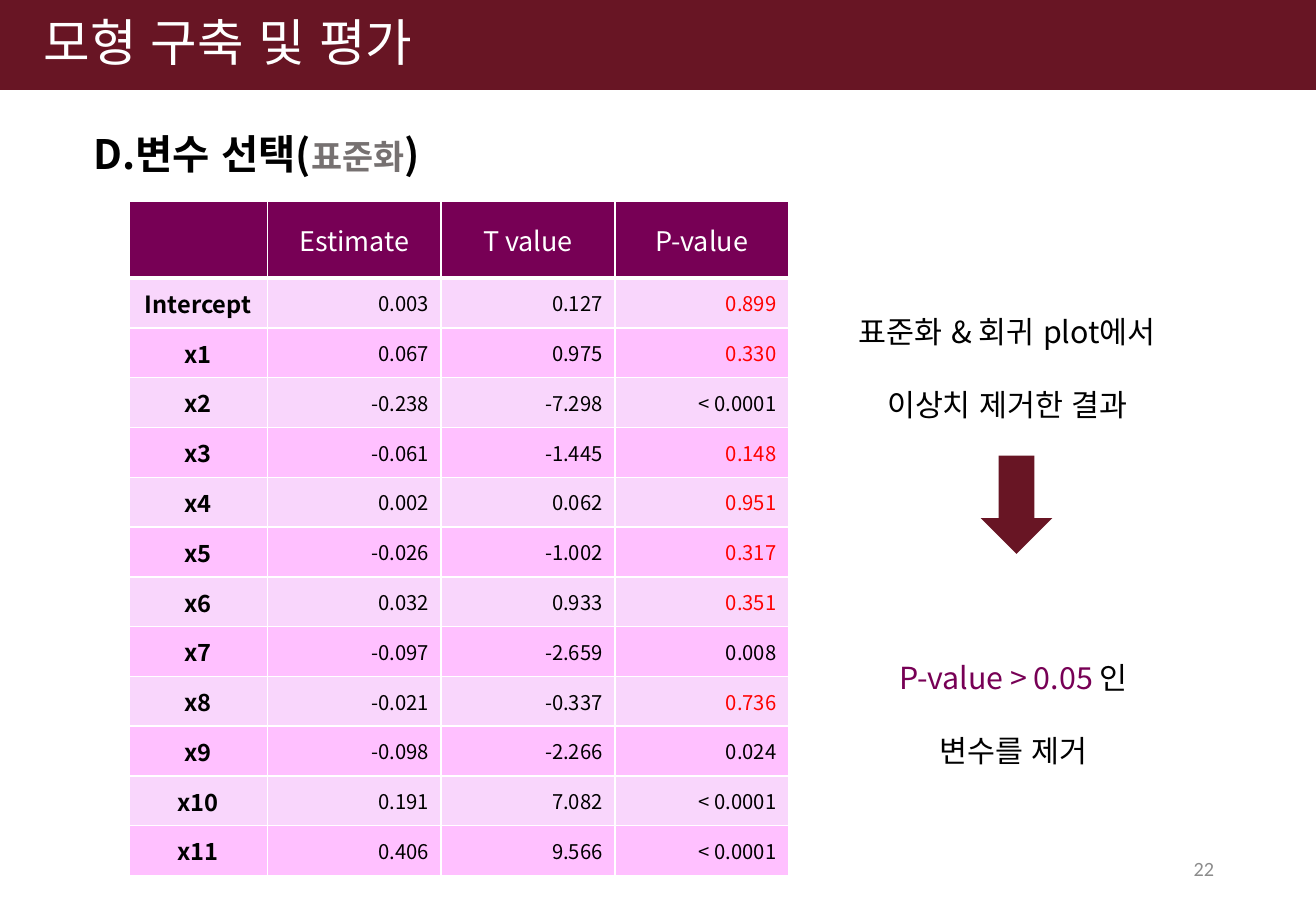
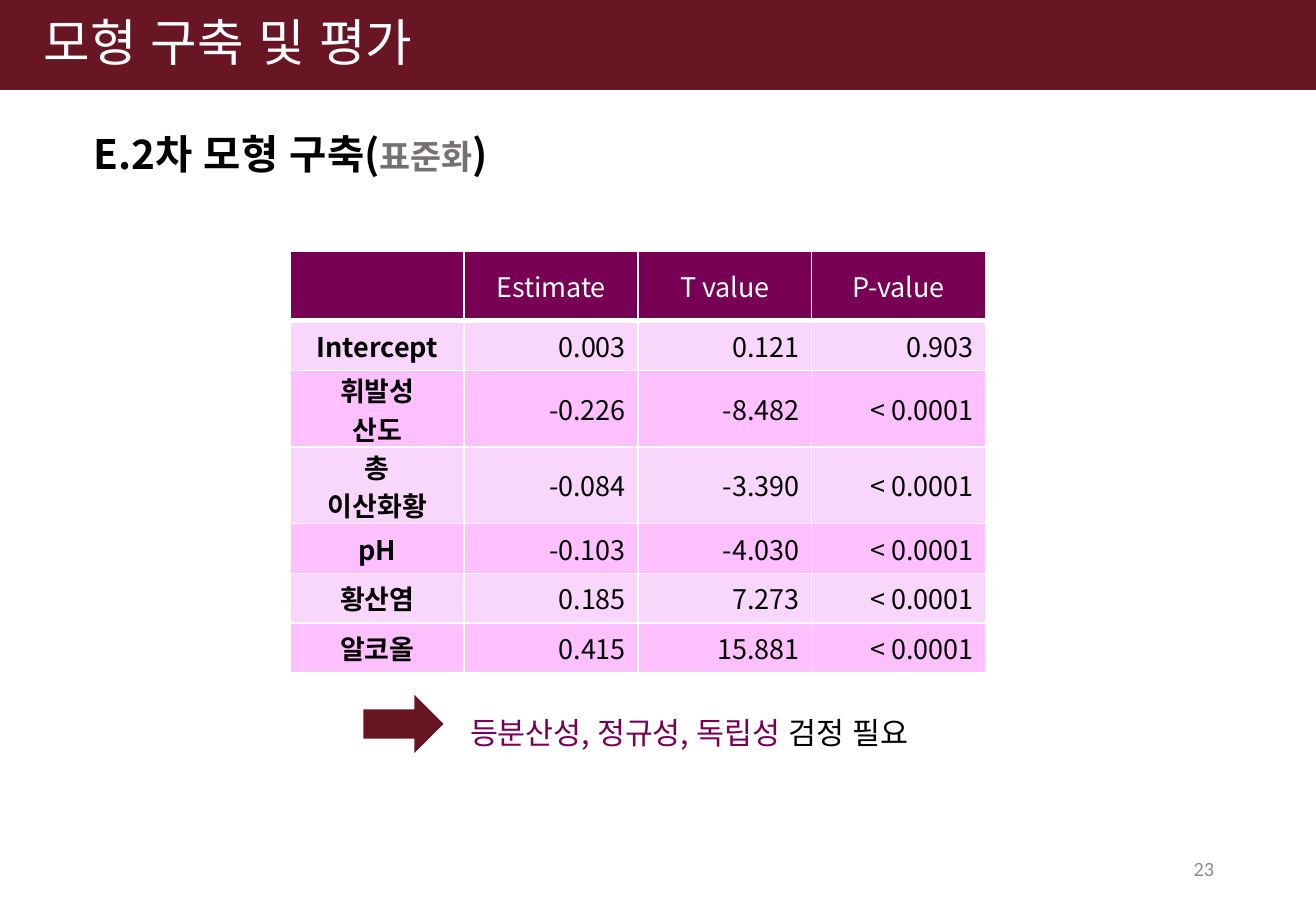
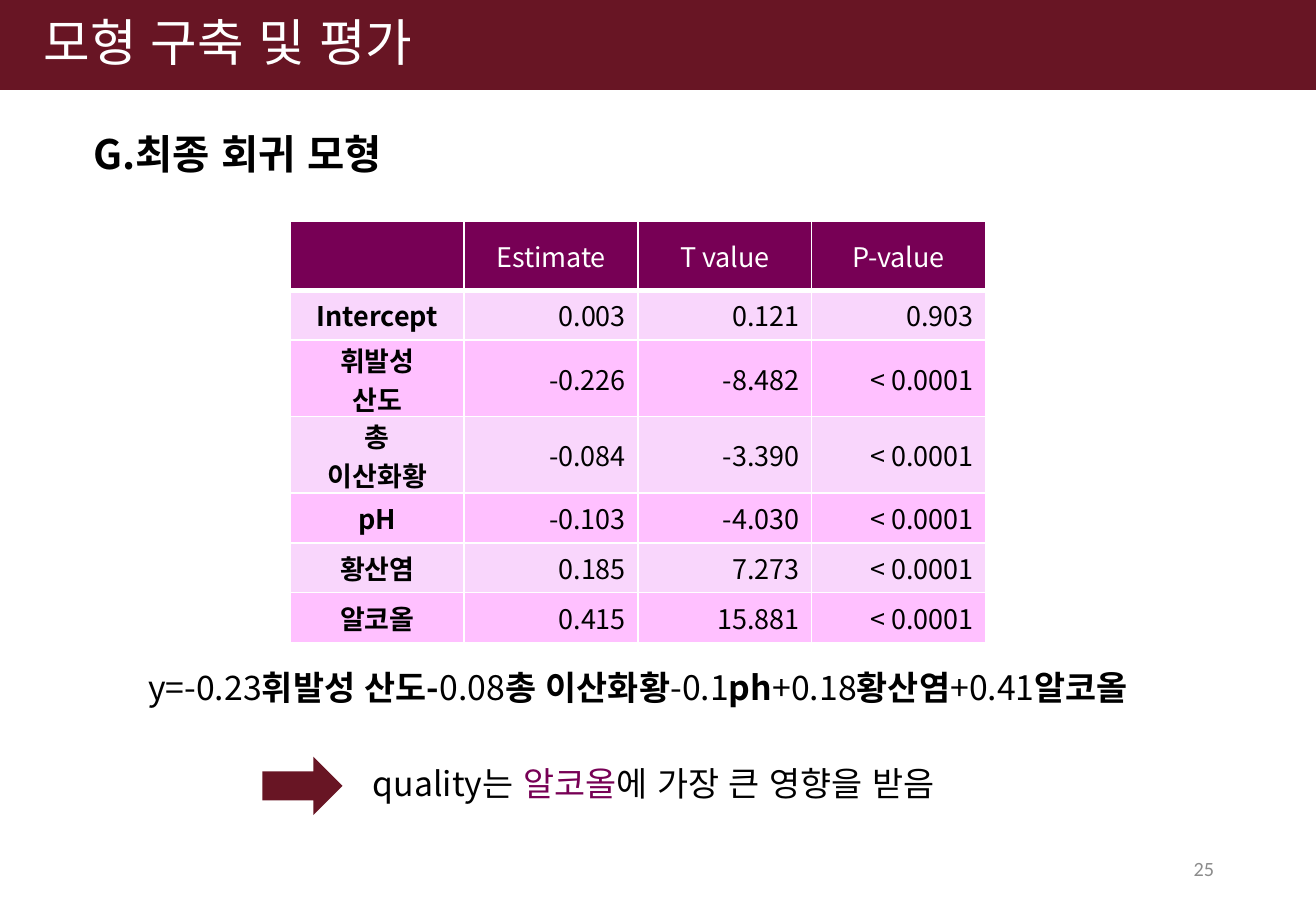
from lxml import etree
from pptx import Presentation
from pptx.dml.color import RGBColor
from pptx.enum import lang, shapes, text
from pptx.oxml import ns
from pptx.util import Inches, Pt

LEFT, CENTER, RIGHT = text.PP_ALIGN.LEFT, text.PP_ALIGN.CENTER, text.PP_ALIGN.RIGHT


def rgb(value):
    return RGBColor.from_string(value)


class Deck:
    FONT, LATIN = "Noto Sans CJK KR", "Calibri"
    MAROON, PURPLE = "681524", "770055"
    BLACK, WHITE, RED = "000000", "FFFFFF", "FF0000"
    GRAY, NUMBER_GRAY = "767171", "8C8C8C"
    STRIPES = "F9D6FC", "FFC0FF"
    TITLE = "모형 구축 및 평가"
    HEADS = "", "Estimate", "T value", "P-value"

    def __init__(self):
        self.prs = Presentation()
        self.prs.slide_width = Inches(10.83)
        self.prs.slide_height = Inches(7.5)
        self.layout = self.prs.slide_layouts[5]
        self.s = None

    def run(self, p, words, size, color=BLACK, bold=False, font=FONT):
        r = p.add_run()
        r.text = words
        f = r.font
        f.size, f.bold, f.name = Pt(size), bold, font
        f.language_id = lang.MSO_LANGUAGE_ID.KOREAN
        f.color.rgb = rgb(color)
        latin = r._r.rPr.find(ns.qn("a:latin"))
        ea = etree.Element(ns.qn("a:ea"), typeface=self.FONT)
        latin.addnext(ea)

    def fill_frame(self, tf, paragraphs, align=LEFT, spacing=None):
        tf.word_wrap = True
        for i, runs in enumerate(paragraphs):
            p = tf.add_paragraph() if i else tf.paragraphs[0]
            p.alignment = align
            if spacing:
                p.line_spacing = spacing
            for item in runs:
                self.run(p, *item)

    def preset(self, kind, x, y, w, h, rotation=0):
        sp = self.s.shapes.add_shape(kind, Inches(x), Inches(y), Inches(w), Inches(h))
        sp.shadow.inherit = False
        sp.fill.solid()
        sp.fill.fore_color.rgb = rgb(self.MAROON)
        sp.line.fill.background()
        sp.rotation = rotation
        return sp

    def arrow(self, x, y, w, h, rotation=0):
        self.preset(shapes.MSO_SHAPE.DOWN_ARROW, x, y, w, h, rotation)

    def text(self, x, y, w, h, paragraphs, align=LEFT, spacing=None):
        sp = self.s.shapes.add_textbox(Inches(x), Inches(y), Inches(w), Inches(h))
        self.fill_frame(sp.text_frame, paragraphs, align, spacing)
        return sp

    def slide(self, number, heading):
        first = self.s is None
        self.s = self.prs.slides.add_slide(self.layout)
        if first:
            band = self.preset(shapes.MSO_SHAPE.RECTANGLE, 0, 0, 10.83, 0.74)
            self.layout.shapes._spTree.insert(2, band._element)
        title = self.s.shapes.title
        title.left, title.top = Inches(0.26), Inches(0.1)
        title.width, title.height = Inches(10), Inches(0.74)
        tf = title.text_frame
        tf.auto_size = text.MSO_AUTO_SIZE.NONE
        tf.vertical_anchor = text.MSO_ANCHOR.TOP
        self.fill_frame(tf, [[(self.TITLE, 30, self.WHITE, False, self.LATIN)]], LEFT, 0.9)
        self.text(0.67, 1.01, 6.88, 0.51, [heading])
        page = self.text(7.65, 6.95, 2.44, 0.4,
                         [[(number, 12, self.NUMBER_GRAY, False, self.LATIN)]], RIGHT)
        page.text_frame.vertical_anchor = text.MSO_ANCHOR.MIDDLE

    def cell(self, cell, words, fill, align, size, color, bold, bottom=1):
        pr = cell._tc.get_or_add_tcPr()
        for side, width in (("L", 1), ("R", 1), ("T", 1), ("B", bottom)):
            ln = etree.SubElement(pr, ns.qn("a:ln" + side), w=str(Pt(width)))
            solid = etree.SubElement(ln, ns.qn("a:solidFill"))
            etree.SubElement(solid, ns.qn("a:srgbClr"), val=self.WHITE)
        cell.fill.solid()
        cell.fill.fore_color.rgb = rgb(fill)
        cell.vertical_anchor = text.MSO_ANCHOR.MIDDLE
        cell.margin_top = cell.margin_bottom = 0
        if words:
            lines = [[(line, size, color, bold)] for line in words.split("\n")]
            self.fill_frame(cell.text_frame, lines, align)

    def table(self, x, y, rows, first_width, head_height, label_size, size, limit=None):
        widths = [first_width, 1.43, 1.43, 1.43]
        heights = [head_height] + [0.63 if "\n" in row[0] else 0.41 for row in rows]
        frame = self.s.shapes.add_table(len(heights), len(widths), Inches(x), Inches(y),
                                        Inches(sum(widths)), Inches(sum(heights)))
        table = frame.table
        for column, width in zip(table.columns, widths):
            column.width = Inches(width)
        for row, height in zip(table.rows, heights):
            row.height = Inches(height)
        for j, words in enumerate(self.HEADS):
            self.cell(table.cell(0, j), words, self.PURPLE, CENTER, 16, self.WHITE, False, 3)
        for i, row in enumerate(rows):
            fill = self.STRIPES[i % 2]
            self.cell(table.cell(i + 1, 0), row[0], fill, CENTER, label_size, self.BLACK, True)
            for j, value in enumerate(row[1:], 1):
                high = limit and j == 3 and value[0] != "<" and float(value) > limit
                color = self.RED if high or (limit and value == "0.899") else self.BLACK
                self.cell(table.cell(i + 1, j), value, fill, RIGHT, size, color, False)


ALL_VARIABLES = [
    ("Intercept", "0.003", "0.127", "0.899"),
    ("x1", "0.067", "0.975", "0.330"),
    ("x2", "-0.238", "-7.298", "< 0.0001"),
    ("x3", "-0.061", "-1.445", "0.148"),
    ("x4", "0.002", "0.062", "0.951"),
    ("x5", "-0.026", "-1.002", "0.317"),
    ("x6", "0.032", "0.933", "0.351"),
    ("x7", "-0.097", "-2.659", "0.008"),
    ("x8", "-0.021", "-0.337", "0.736"),
    ("x9", "-0.098", "-2.266", "0.024"),
    ("x10", "0.191", "7.082", "< 0.0001"),
    ("x11", "0.406", "9.566", "< 0.0001"),
]
SELECTED = [
    ("Intercept", "0.003", "0.121", "0.903"),
    ("휘발성\n산도", "-0.226", "-8.482", "< 0.0001"),
    ("총\n이산화황", "-0.084", "-3.390", "< 0.0001"),
    ("pH", "-0.103", "-4.030", "< 0.0001"),
    ("황산염", "0.185", "7.273", "< 0.0001"),
    ("알코올", "0.415", "15.881", "< 0.0001"),
]
EQUATION = ["y=-0.23", "휘발성 산도-", "0.08", "총 이산화황", "-0.1", "ph",
            "+0.18", "황산염", "+0.41", "알코올"]


def main():
    d = Deck()

    def standardized(words):
        return [(words + "(", 24, d.BLACK, True), ("표준화", 20, d.GRAY, True),
                (")", 24, d.BLACK, True)]

    d.slide("22", standardized("D.변수 선택"))
    d.table(1.06, 1.66, ALL_VARIABLES, 1.14, 0.63, 14, 12, limit=0.05)
    d.text(6.89, 2.23, 2.8, 1.24,
           [[("표준화 & 회귀 plot에서 이상치 제거한 결과", 18)]], CENTER, 2)
    d.arrow(8.07, 3.75, 0.59, 0.81)
    d.text(6.94, 5.08, 2.8, 1.31,
           [[("P-value > 0.05 ", 18, d.PURPLE), ("인", 18)], [("변수를 제거", 18)]], CENTER, 2)

    d.slide("23", standardized("E.2차 모형 구축"))
    d.table(2.39, 2.07, SELECTED, 1.43, 0.57, 16, 16)
    d.arrow(3.08, 5.63, 0.48, 0.66, 270)
    d.text(3.77, 5.53, 4.6, 0.71,
           [[("등분산성, 정규성, 독립성 ", 18, d.PURPLE), ("검정 필요", 18)]], LEFT, 2)

    d.slide("25", [("G.최종 회귀 모형", 24, d.BLACK, True)])
    d.table(2.39, 1.82, SELECTED, 1.43, 0.57, 16, 16)
    d.text(1.12, 5.44, 8.88, 0.44,
           [[(term, 20, d.BLACK, i % 2 == 1) for i, term in enumerate(EQUATION)]])
    d.arrow(2.25, 6.14, 0.48, 0.66, 270)
    d.text(2.97, 5.9, 5.67, 0.91,
           [[("quality는 ", 20), ("알코올", 20, d.PURPLE), ("에 가장 큰 영향을 받음", 20)]], LEFT, 2)

    d.prs.save("out.pptx")


if __name__ == "__main__":
    main()
